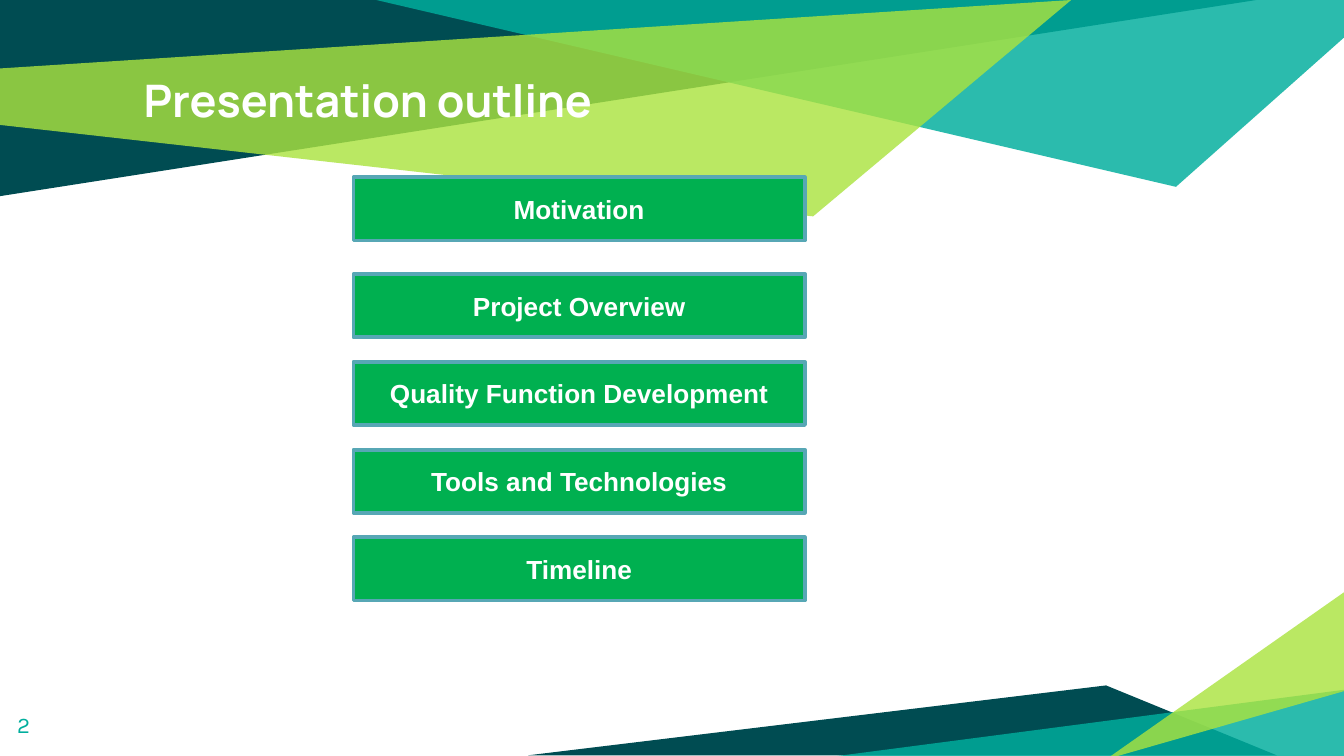
from lxml import etree
from pptx import Presentation
from pptx import util as u
from pptx.dml.color import RGBColor
from pptx.enum import shapes, text
from pptx.oxml.ns import qn

WIDE, HIGH = u.Inches(10), u.Inches(5.625)
UNIT = WIDE // 1000  # all lengths are thousandths of the slide's width

WHITE = RGBColor(0xFF, 0xFF, 0xFF)
DARK = RGBColor(0x00, 0x4C, 0x52)
TEAL = RGBColor(0x00, 0xAE, 0x9D)
LIME = RGBColor(0xAB, 0xE3, 0x3F)
GREEN = RGBColor(0x00, 0xB0, 0x50)
EDGE = RGBColor(0x57, 0xA7, 0xB5)

# Facets, back to front: colour, opacity in percent, corners
FACETS = [
    (DARK, 100, [(0, 0), (0, 146), (935, 0)]),
    (TEAL, 83, [(280, 0), (875, 139), (1000, 28), (1000, 0)]),
    (LIME, 81, [(-1, 51), (0, 93), (605, 161), (797, 0)]),
    (DARK, 100, [(393, 562), (950, 562), (823, 510)]),
    (TEAL, 83, [(1002, 513), (1002, 565), (604, 565)]),
    (LIME, 81, [(1001, 514), (1001, 440), (823, 565)]),
]

# Outline boxes: the first stands apart, the rest keep an even pitch
FIRST, NEXT, PITCH = 132, 204, 65.3
LEFT, BOX_W, BOX_H = 263, 336, 47
TOPICS = ["Project Overview", "Quality Function Development",
          "Tools and Technologies", "Timeline"]


def span(*vals):
    return [round(v * UNIT) for v in vals]


def write(frame, words, size, font, color, bold=False, align=None, inset=10):
    frame.word_wrap = True
    frame.margin_left = frame.margin_right = inset * UNIT
    frame.margin_top = frame.margin_bottom = inset * UNIT
    para = frame.paragraphs[0]
    para.alignment = align
    run = para.add_run()
    run.text = words
    run.font.size = u.Pt(size)
    run.font.name = font
    run.font.bold = bold
    run.font.color.rgb = color


def facet(slide, color, solid, points):
    pen = slide.shapes.build_freeform(*points[0], scale=UNIT)
    pen.add_line_segments(points[1:], close=True)
    shape = pen.convert_to_shape()
    shape.shadow.inherit = False
    shape.line.fill.background()
    shape.fill.solid()
    shape.fill.fore_color.rgb = color
    if solid < 100:
        tint = shape.fill._xPr.find(qn("a:solidFill"))[0]
        etree.SubElement(tint, qn("a:alpha")).set("val", str(solid * 1000))


def label(slide, place, words, **form):
    box = slide.shapes.add_textbox(*span(*place))
    write(box.text_frame, words, **form)


def topic(slide, top, words):
    box = slide.shapes.add_shape(shapes.MSO_SHAPE.RECTANGLE,
                                 *span(LEFT, top, BOX_W, BOX_H))
    box.shadow.inherit = False
    box.fill.solid()
    box.fill.fore_color.rgb = GREEN
    box.line.color.rgb = EDGE
    box.line.width = u.Pt(2)
    box.text_frame.vertical_anchor = text.MSO_ANCHOR.MIDDLE
    write(box.text_frame, words, size=14, font="Arial", color=WHITE,
          bold=True, align=text.PP_ALIGN.CENTER, inset=5)


def main():
    deck = Presentation()
    deck.slide_width, deck.slide_height = WIDE, HIGH
    slide = deck.slides.add_slide(deck.slide_layouts[6])

    # Background facets
    for color, solid, points in FACETS:
        facet(slide, color, solid, points)

    # Title and page number
    label(slide, (97, 44, 694, 94), "Presentation outline",
          size=24, font="Manrope", color=WHITE, bold=True)
    label(slide, (3, 519, 60, 43), "2", size=12, font="Karla", color=TEAL)

    # Outline boxes
    topic(slide, FIRST, "Motivation")
    for row, words in enumerate(TOPICS):
        topic(slide, NEXT + row * PITCH, words)

    deck.save("out.pptx")


if __name__ == "__main__":
    main()
